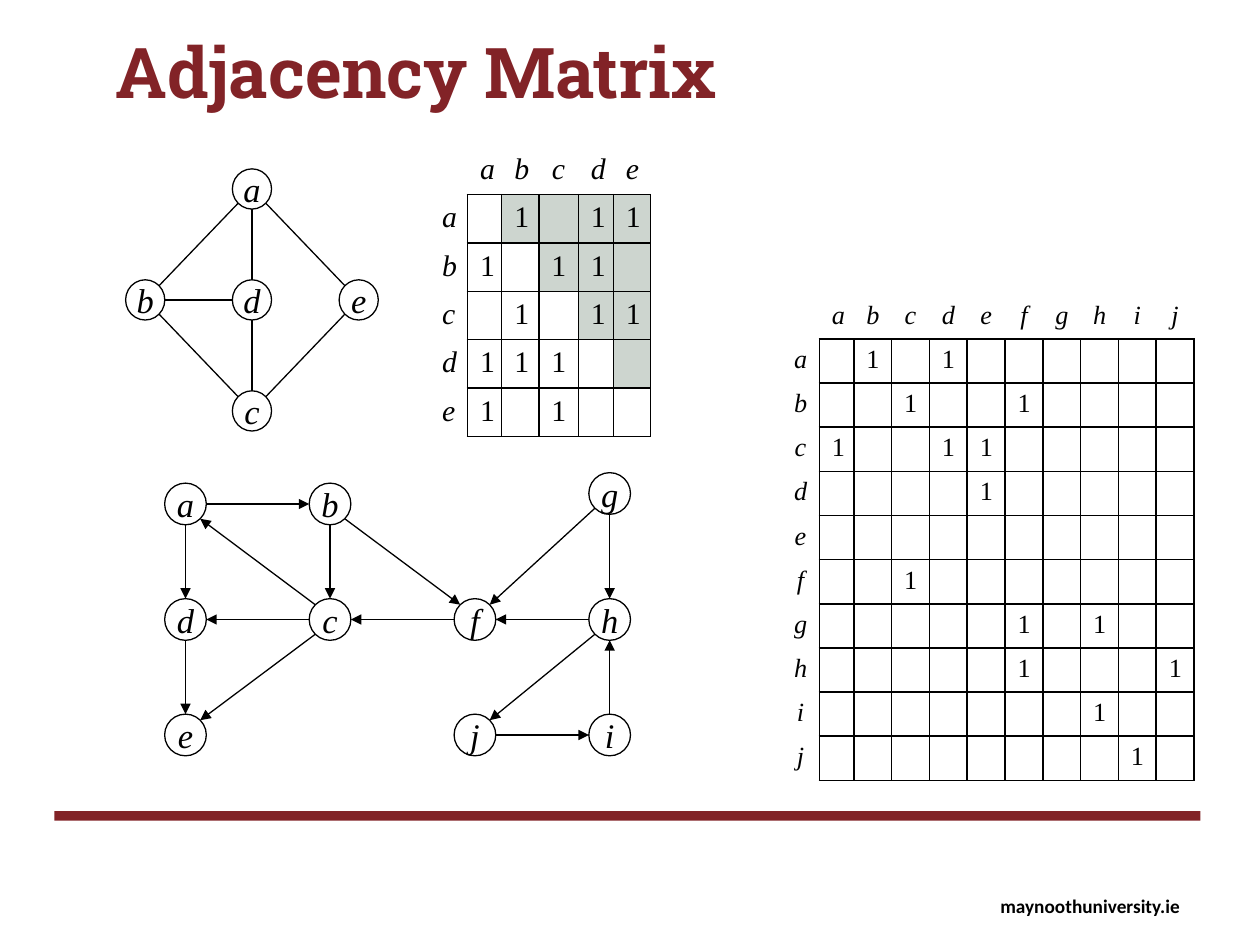
from lxml import etree
from pptx import Presentation
from pptx.dml.color import RGBColor
from pptx.enum.shapes import MSO_CONNECTOR, MSO_SHAPE
from pptx.enum.text import MSO_ANCHOR, PP_ALIGN
from pptx.oxml import parse_xml
from pptx.oxml.ns import nsdecls, qn
from pptx.util import Pt

LINE = MSO_CONNECTOR.STRAIGHT
OVAL, RECT = MSO_SHAPE.OVAL, MSO_SHAPE.RECTANGLE
MIDDLE, CENTER = MSO_ANCHOR.MIDDLE, PP_ALIGN.CENTER
BLACK = RGBColor(0x00, 0x00, 0x00)
MAROON = RGBColor(0x82, 0x23, 0x27)
SAGE = RGBColor(0xCD, 0xD5, 0xCF)
SERIF = "Times New Roman"

TITLE = "Adjacency Matrix"
FOOTER = "maynoothuniversity.ie"

KITE = {
    "nodes": {"a": (144, 108), "b": (83, 171.4), "c": (144, 234.8),
              "d": (144, 171.4), "e": (205, 171.4)},
    "edges": ["ad", "dc", "bd", "ab", "ae", "ec", "cb"],
    "size": (22.4, 23), "arrows": False,
    "left": 245.5, "top": 83.6, "cols": [21.6, 19.6, 21.2, 22.6, 20, 21.4],
    "row": 26.05, "font": 17,
}
WEB = {
    "nodes": {"a": (106, 288), "b": (188.6, 288), "c": (188.6, 354),
              "d": (106, 354), "e": (106, 420), "f": (271.4, 354),
              "g": (348.4, 282), "h": (348.4, 354), "i": (348.4, 420),
              "j": (271.4, 420)},
    "edges": ["ad", "ab", "bc", "ca", "cd", "ce", "de", "bf", "fc", "gf",
              "gh", "hj", "ji", "ih", "hf"],
    "size": (23.8, 23.8), "arrows": True,
    "left": 446.6, "top": 168.4, "cols": [21.6, 19.7] + [21.62] * 9,
    "row": 25.14, "font": 15,
}


def write(para, text, size, font=SERIF, color=BLACK, bold=False, italic=False):
    run = para.add_run()
    run.text = text
    run.font.size = Pt(size)
    run.font.name = font
    run.font.color.rgb = color
    run.font.bold = bold
    run.font.italic = italic


def add_text(slide, box, text, size, font, color, wrap):
    frame = slide.shapes.add_textbox(*map(Pt, box)).text_frame
    frame.word_wrap = wrap
    para = frame.paragraphs[0]
    write(para, text, size, font, color, bold=True)
    return para


def sign(value):
    return (value > 0) - (value < 0)


def draw_graph(slide, graph):
    wide, high = graph["size"]
    for name, (x, y) in graph["nodes"].items():
        node = slide.shapes.add_shape(
            OVAL, Pt(x - wide / 2), Pt(y - high / 2), Pt(wide), Pt(high))
        node.shadow.inherit = False
        node.fill.background()
        node.line.color.rgb = BLACK
        node.line.width = Pt(0.75)
        frame = node.text_frame
        frame.word_wrap = False
        frame.vertical_anchor = MIDDLE
        frame.paragraphs[0].alignment = CENTER
        write(frame.paragraphs[0], name, 19.7, italic=True)

    for start, end in graph["edges"]:
        (x1, y1), (x2, y2) = graph["nodes"][start], graph["nodes"][end]
        right, down = sign(x2 - x1), sign(y2 - y1)
        reach = 0.71 if right and down else 1
        dx, dy = right * reach * wide / 2, down * reach * high / 2
        edge = slide.shapes.add_connector(
            LINE, Pt(x1 + dx), Pt(y1 + dy), Pt(x2 - dx), Pt(y2 - dy))
        edge.line.color.rgb = BLACK
        edge.line.width = Pt(0.75)
        props = edge._element.spPr
        if graph["arrows"]:
            etree.SubElement(edge.line._get_or_add_ln(), qn("a:tailEnd"), type="triangle")
        etree.SubElement(props, qn("a:effectLst"))


def set_borders(cell, shown):
    props = cell._tc.get_or_add_tcPr()
    for side in "LRTB":
        ink = (f'<a:solidFill><a:srgbClr val="{BLACK}"/></a:solidFill>'
               if side in shown else "<a:noFill/>")
        props.append(parse_xml(
            f'<a:ln{side} {nsdecls("a")} w="{Pt(1)}">{ink}</a:ln{side}>'))


def draw_matrix(slide, graph):
    names = list(graph["nodes"])
    links = set(graph["edges"])
    if not graph["arrows"]:
        links |= {end + start for start, end in links}
    count = len(names) + 1
    cols, high = graph["cols"], graph["row"]
    table = slide.shapes.add_table(
        count, count, Pt(graph["left"]), Pt(graph["top"]),
        Pt(sum(cols)), Pt(high * count)).table
    table.first_row = table.horz_banding = False
    for col, wide in zip(table.columns, cols):
        col.width = Pt(wide)
    for row in table.rows:
        row.height = Pt(high)

    for r, head in enumerate([""] + names):
        for c, top in enumerate([""] + names):
            cell = table.cell(r, c)
            inner = r and c
            text = ("1" if head + top in links else "") if inner else head + top
            set_borders(cell, "LRTB" if inner else "R" if r else "B" if c else "")
            if inner and c > r and not graph["arrows"]:
                cell.fill.solid()
                cell.fill.fore_color.rgb = SAGE
                tint = cell._tc.tcPr.find(".//" + qn("a:srgbClr"))
                etree.SubElement(tint, qn("a:alpha"), val="50000")
            else:
                cell.fill.background()
            if text:
                para = cell.text_frame.paragraphs[0]
                para.alignment = CENTER
                write(para, text, graph["font"], italic=not inner)
            else:
                cell.margin_top = cell.margin_bottom = 0


def main():
    deck = Presentation()
    deck.slide_width, deck.slide_height = Pt(720), Pt(540)
    slide = deck.slides.add_slide(deck.slide_layouts[6])
    add_text(slide, (564.5, 507.6, 118.8, 20.9), FOOTER, 11, "Calibri", BLACK, False)
    bar = slide.shapes.add_shape(RECT, Pt(31), Pt(463.5), Pt(655), Pt(5.5))
    bar.shadow.inherit = False
    bar.fill.solid()
    bar.fill.fore_color.rgb = MAROON
    bar.line.fill.background()
    title = add_text(slide, (59, 18, 595.4, 88.6), TITLE, 40, "Roboto Slab", MAROON, True)
    title.line_spacing = 0.9
    for graph in (KITE, WEB):
        draw_graph(slide, graph)
        draw_matrix(slide, graph)
    deck.save("out.pptx")


if __name__ == "__main__":
    main()
